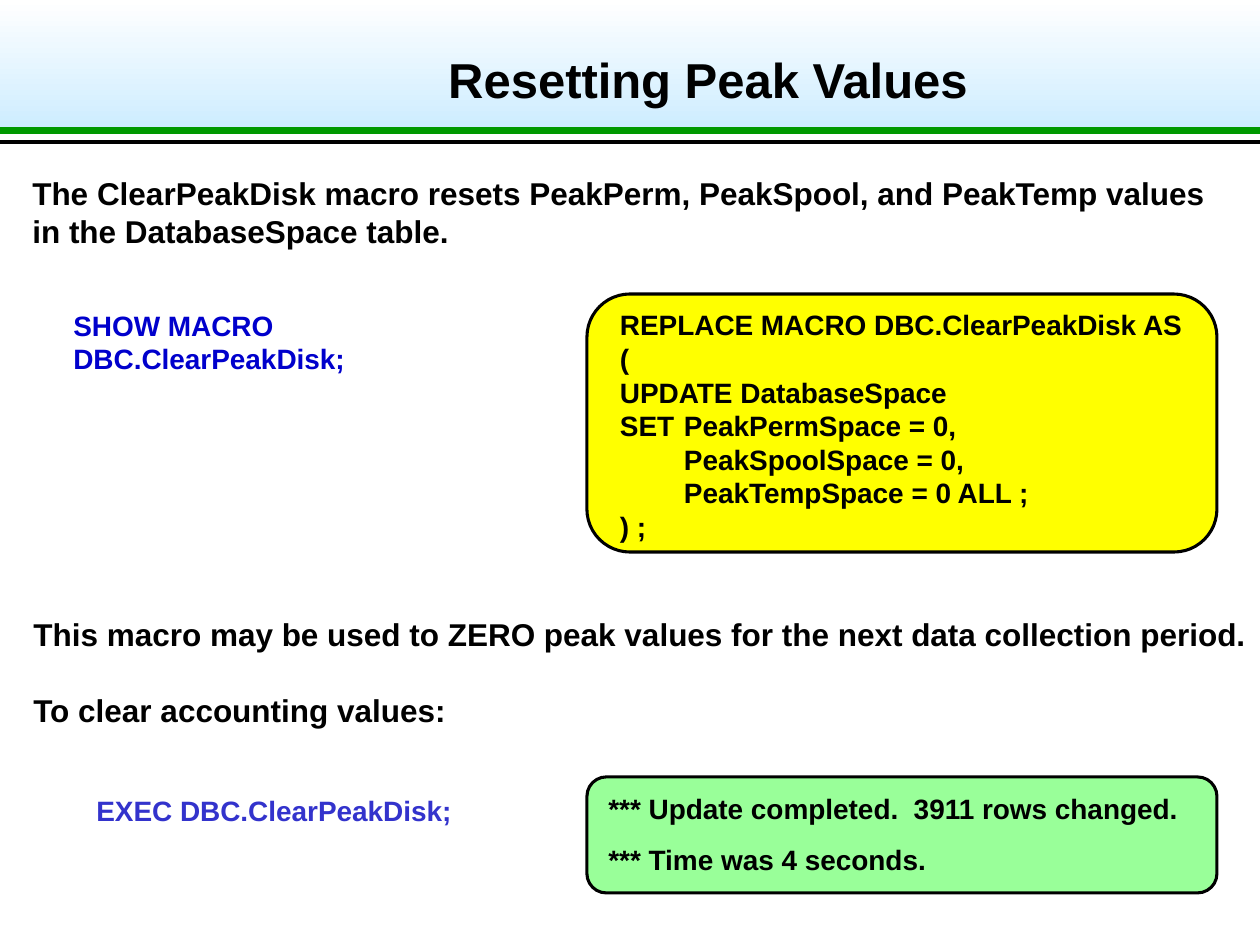
from pptx import Presentation
from pptx.dml.color import RGBColor
from pptx.enum.shapes import MSO_CONNECTOR, MSO_SHAPE
from pptx.enum.text import MSO_ANCHOR, PP_ALIGN
from pptx.oxml.ns import qn
from pptx.util import Pt
from lxml.etree import SubElement

EMU_PER_PX = 914400 / 126
BLACK = RGBColor(0x00, 0x00, 0x00)
WHITE = RGBColor(0xFF, 0xFF, 0xFF)
SKY = RGBColor(0xCC, 0xEC, 0xFF)
GREEN = RGBColor(0x00, 0x99, 0x00)
YELLOW = RGBColor(0xFF, 0xFF, 0x00)
MINT = RGBColor(0x99, 0xFF, 0x99)
BLUE = RGBColor(0x00, 0x00, 0xCC)
INDIGO = RGBColor(0x33, 0x33, 0xCC)

MACRO = [
    "REPLACE MACRO DBC.ClearPeakDisk AS",
    "(\vUPDATE DatabaseSpace",
    "SET \tPeakPermSpace = 0,",
    "\tPeakSpoolSpace = 0,",
    "\tPeakTempSpace = 0 ALL ;",
    ") ;",
]


def px(n):
    return round(n * EMU_PER_PX)


def add_band(s, x, y, w, h):
    sp = s.shapes.add_shape(MSO_SHAPE.RECTANGLE, px(x), px(y), px(w), px(h))
    sp.shadow.inherit = False
    sp.line.fill.background()
    sp.fill.gradient()
    sp.fill.gradient_angle = 270
    for stop, color, position in zip(sp.fill.gradient_stops, (WHITE, SKY), (0, 1)):
        stop.color.rgb = color
        stop.position = position


def add_rule(s, y, color, width):
    line = s.shapes.add_connector(MSO_CONNECTOR.STRAIGHT, 0, px(y), px(1260), px(y))
    line.line.color.rgb = color
    line.line.width = Pt(width)
    SubElement(line._element.spPr, qn("a:effectLst"))


def add_panel(s, kind, x, y, w, h, color):
    sp = s.shapes.add_shape(kind, px(x), px(y), px(w), px(h))
    sp.shadow.inherit = False
    sp.fill.solid()
    sp.fill.fore_color.rgb = color
    sp.line.color.rgb = BLACK
    sp.line.width = Pt(1.75)


def add_tab(p, position):
    tabs = SubElement(p._p.get_or_add_pPr(), qn("a:tabLst"))
    SubElement(tabs, qn("a:tab"), pos=str(px(position)), algn="l")


def add_text(s, x, y, w, h, lines, size, color=BLACK, wrap=False, gap=0, tab=None):
    tf = s.shapes.add_textbox(px(x), px(y), px(w), px(h)).text_frame
    tf.word_wrap = wrap
    tf.text = "\n".join(lines)
    for i, p in enumerate(tf.paragraphs):
        if gap and i:
            p.space_before = Pt(gap)
        if tab:
            add_tab(p, tab)
        for r in p.runs:
            r.font.name = "Arial"
            r.font.size = Pt(size)
            r.font.bold = True
            r.font.color.rgb = color
    return tf


def add_header(s):
    add_band(s, 0, 0, 1260, 132)
    add_rule(s, 142, BLACK, 2)
    add_rule(s, 131, GREEN, 4)
    tf = add_text(s, 209, 21, 998, 116, ["Resetting Peak Values"], 28, wrap=True)
    tf.vertical_anchor = MSO_ANCHOR.MIDDLE
    tf.paragraphs[0].alignment = PP_ALIGN.CENTER


def add_macro(s):
    add_panel(s, MSO_SHAPE.FLOWCHART_ALTERNATE_PROCESS, 587, 294, 630, 258, YELLOW)
    tf = add_text(s, 620, 308, 571, 236, MACRO, 16, tab=64)
    tf.margin_left = tf.margin_right = tf.margin_top = tf.margin_bottom = 0
    add_text(s, 61, 302, 504, 47, ["SHOW MACRO DBC.ClearPeakDisk;"], 16, BLUE)


def add_result(s):
    add_panel(s, MSO_SHAPE.ROUNDED_RECTANGLE, 587, 777, 630, 116, MINT)
    add_text(s, 596, 785, 617, 97,
             ["*** Update completed.  3911 rows changed.", "*** Time was 4 seconds."],
             16, wrap=True, gap=10)
    add_text(s, 84, 787, 381, 47, ["EXEC DBC.ClearPeakDisk;"], 16, INDIGO)


def main():
    prs = Presentation()
    prs.slide_width, prs.slide_height = px(1260), px(945)
    s = prs.slides.add_slide(prs.slide_layouts[6])
    add_header(s)
    add_text(s, 20, 168, 1207, 88,
             ["The ClearPeakDisk macro resets PeakPerm, PeakSpool, and PeakTemp values "
              "in the DatabaseSpace table."], 18, wrap=True)
    add_macro(s)
    add_text(s, 21, 609, 1239, 126,
             ["This macro may be used to ZERO peak values for the next data collection period.",
              "To clear accounting values:"], 18, gap=21.7)
    add_result(s)
    prs.save("out.pptx")


if __name__ == "__main__":
    main()
